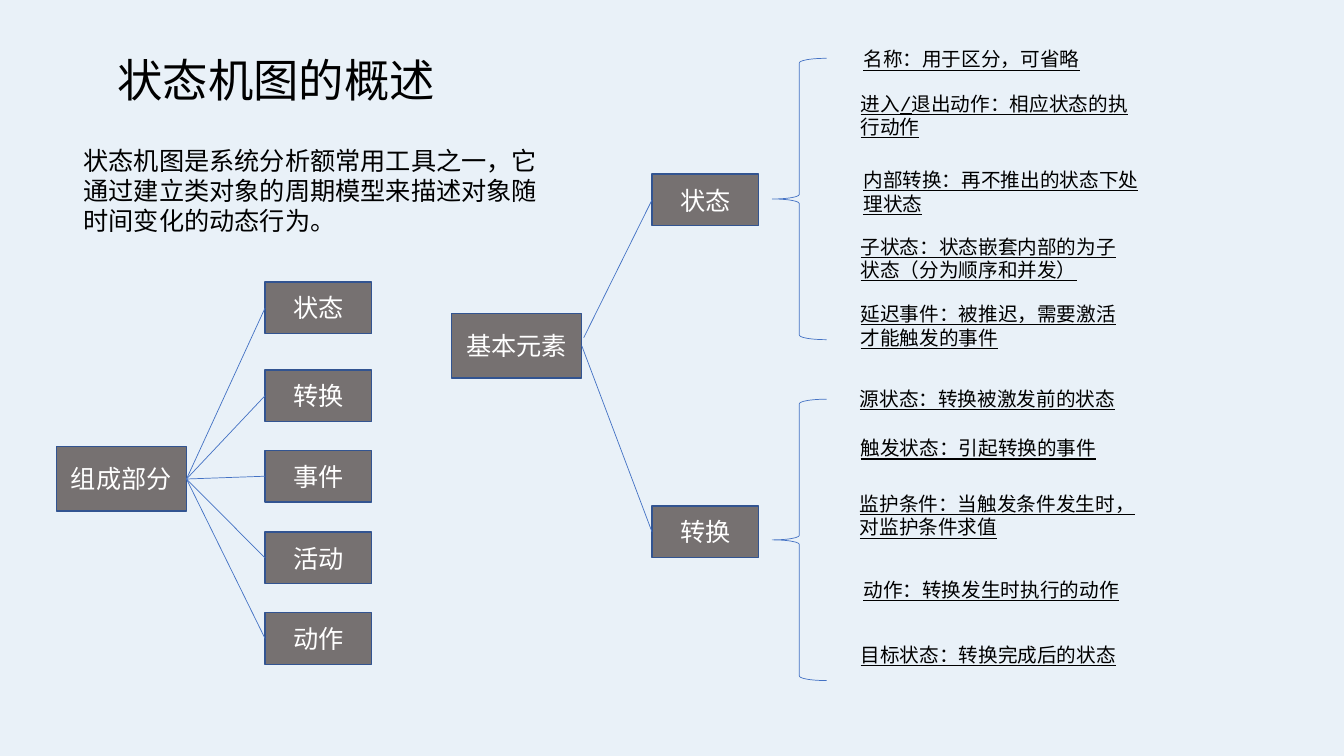
import pptx
import pptx.dml.color
import pptx.enum.lang
import pptx.enum.shapes
import pptx.enum.text
import pptx.oxml.ns
import pptx.util
from lxml import etree

Cm = pptx.util.Cm
SHAPES = pptx.enum.shapes.MSO_SHAPE
ALIGN = pptx.enum.text.PP_ALIGN
ANCHOR = pptx.enum.text.MSO_ANCHOR
AUTO_SIZE = pptx.enum.text.MSO_AUTO_SIZE

COLOURS = {
    "background": "E9F1F8",
    "text": "000000",
    "box": "767171",
    "box_text": "FFFFFF",
    "box_border": "325491",
    "line": "4472C4",
}
LATIN_FONT = "Courier New"
CHINESE_FONT = "Noto Sans CJK SC"
CHILD_SIZE = (2.69, 1.3)
ROOT_SIZE = (3.28, 1.63)
NOTE_HEIGHTS = {1: 0.86, 2: 1.45}

PARTS = [("状态", 7.11), ("转换", 9.32), ("事件", 11.35), ("活动", 13.41), ("动作", 15.44)]
ELEMENTS = [("状态", 4.39), ("转换", 12.75)]
NOTES = [
    ("名称：用于区分，可省略", 21.51, 1.07, 8.31, 1),
    ("进入/退出动作：相应状态的执行动作", 21.44, 2.18, 7.57, 2),
    ("内部转换：再不推出的状态下处理状态", 21.51, 4.11, 7.57, 2),
    ("子状态：状态嵌套内部的为子状态（分为顺序和并发）", 21.44, 5.79, 7.39, 2),
    ("延迟事件：被推迟，需要激活才能触发的事件", 21.44, 7.49, 7.14, 2),
    ("源状态：转换被激发前的状态", 21.42, 9.63, 8.31, 1),
    ("触发状态：引起转换的事件", 21.44, 10.87, 7.57, 1),
    ("监护条件：当触发条件发生时，对监护条件求值", 21.42, 12.27, 7.57, 2),
    ("动作：转换发生时执行的动作", 21.51, 14.43, 7.39, 1),
    ("目标状态：转换完成后的状态", 21.44, 16.08, 7.14, 1),
]
BRACE_TOPS = [1.47, 10.06]


def colour(name):
    return pptx.dml.color.RGBColor.from_string(COLOURS[name])


def place(shape, left, top, width, height):
    shape.left, shape.top = Cm(left), Cm(top)
    shape.width, shape.height = Cm(width), Cm(height)


def write(shape, text, size, align, anchor, colour_name="text", font_name=LATIN_FONT,
          underline=None, auto_size=AUTO_SIZE.NONE):
    frame = shape.text_frame
    frame.word_wrap = True
    frame.auto_size = auto_size
    frame.vertical_anchor = anchor
    paragraph = frame.paragraphs[0]
    paragraph.alignment = align
    paragraph.space_before = pptx.util.Pt(0)
    run = paragraph.add_run()
    run.text = text
    font = run.font
    font.size = pptx.util.Pt(size)
    font.name = font_name
    font.underline = underline
    font.color.rgb = colour(colour_name)
    font.language_id = pptx.enum.lang.MSO_LANGUAGE_ID.SIMPLIFIED_CHINESE
    properties = run._r.get_or_add_rPr()
    etree.SubElement(properties, pptx.oxml.ns.qn("a:ea"), typeface=CHINESE_FONT)
    return paragraph


def add_box(slide, text, left, top, size):
    box = slide.shapes.add_shape(SHAPES.RECTANGLE, Cm(left), Cm(top), Cm(size[0]), Cm(size[1]))
    box.shadow.inherit = False
    box.fill.solid()
    box.fill.fore_color.rgb = colour("box")
    box.line.color.rgb = colour("box_border")
    box.line.width = pptx.util.Pt(1)
    write(box, text, 18, ALIGN.CENTER, ANCHOR.MIDDLE, "box_text")


def add_line(slide, start, end):
    line = slide.shapes.add_connector(
        pptx.enum.shapes.MSO_CONNECTOR.STRAIGHT, *[Cm(value) for value in start + end])
    line.line.color.rgb = colour("line")
    line.line.width = pptx.util.Pt(0.5)
    etree.SubElement(line._element.spPr, pptx.oxml.ns.qn("a:effectLst"))


def add_tree(slide, root, root_left, root_top, children, child_left, line_starts):
    add_box(slide, root, root_left, root_top, ROOT_SIZE)
    for (text, top), start in zip(children, line_starts):
        add_box(slide, text, child_left, top, CHILD_SIZE)
        add_line(slide, (child_left, top + CHILD_SIZE[1] / 2), start)


def add_note(slide, text, left, top, width, line_count):
    note = slide.shapes.add_textbox(Cm(left), Cm(top), Cm(width), Cm(NOTE_HEIGHTS[line_count]))
    write(note, text, 14, ALIGN.LEFT, ANCHOR.TOP, underline=True,
          auto_size=AUTO_SIZE.SHAPE_TO_FIT_TEXT)


def add_brace(slide, top):
    brace = slide.shapes.add_shape(SHAPES.LEFT_BRACE, Cm(19.46), Cm(top), Cm(1.37), Cm(7.09))
    brace.shadow.inherit = False
    brace.fill.background()
    brace.line.color.rgb = colour("line")
    brace.line.width = pptx.util.Pt(0.5)


def main():
    presentation = pptx.Presentation()
    presentation.slide_width, presentation.slide_height = Cm(33.87), Cm(19.05)
    slide = presentation.slides.add_slide(presentation.slide_layouts[0])
    slide.background.fill.solid()
    slide.background.fill.fore_color.rgb = colour("background")

    title, introduction = slide.placeholders
    place(title, 1.55, 1.47, 10.82, 1.35)
    heading = write(title, "状态机图的概述", 32.4, ALIGN.CENTER, ANCHOR.BOTTOM,
                    font_name=CHINESE_FONT)
    heading.line_spacing = 0.9
    place(introduction, 1.85, 3.53, 12.32, 2.57)
    write(introduction,
          "状态机图是系统分析额常用工具之一，它通过建立类对象的周期模型来描述对象随时间变化的动态行为。",
          18, ALIGN.LEFT, ANCHOR.TOP, auto_size=AUTO_SIZE.SHAPE_TO_FIT_TEXT)

    add_tree(slide, "组成部分", 1.42, 11.25, PARTS, 6.68, [(4.7, 12.07)] * len(PARTS))
    add_tree(slide, "基本元素", 11.38, 7.9, ELEMENTS, 16.43, [(14.71, 8.51), (14.66, 8.71)])
    for note in NOTES:
        add_note(slide, *note)
    for top in BRACE_TOPS:
        add_brace(slide, top)

    presentation.save("out.pptx")


if __name__ == "__main__":
    main()
